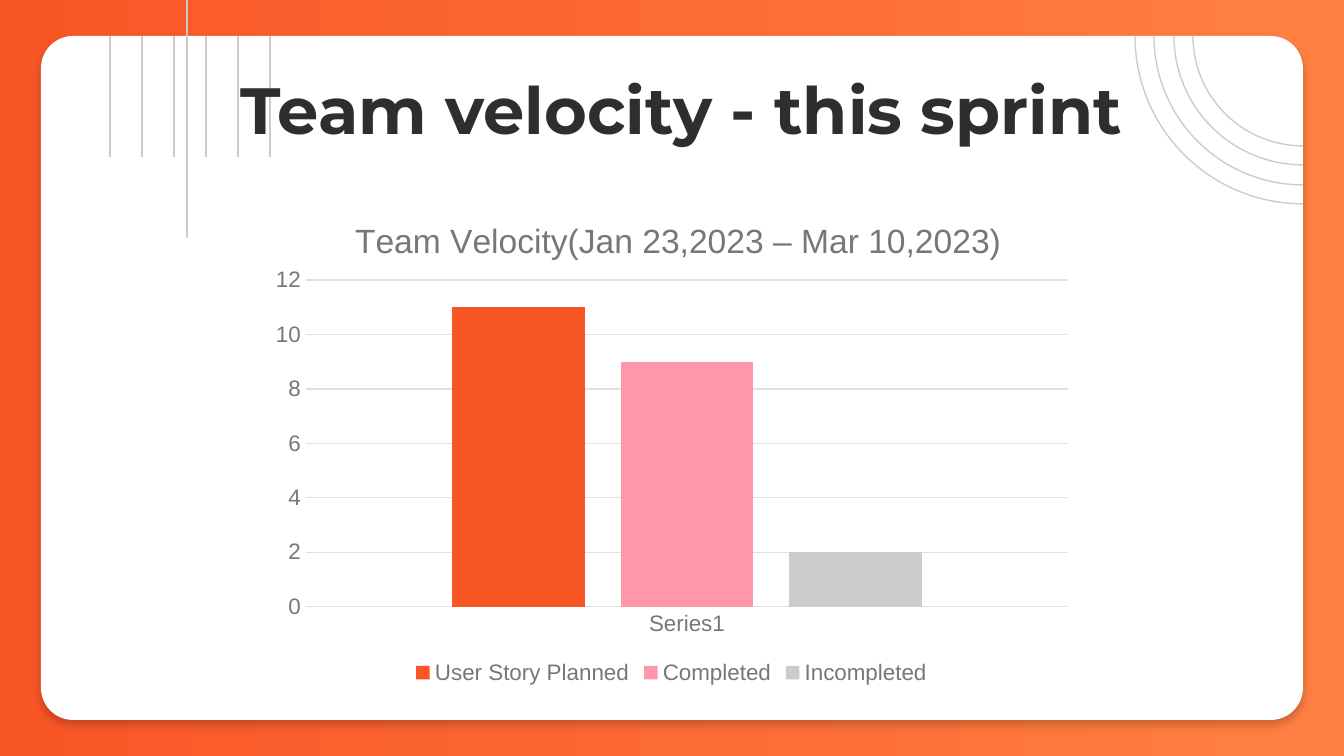
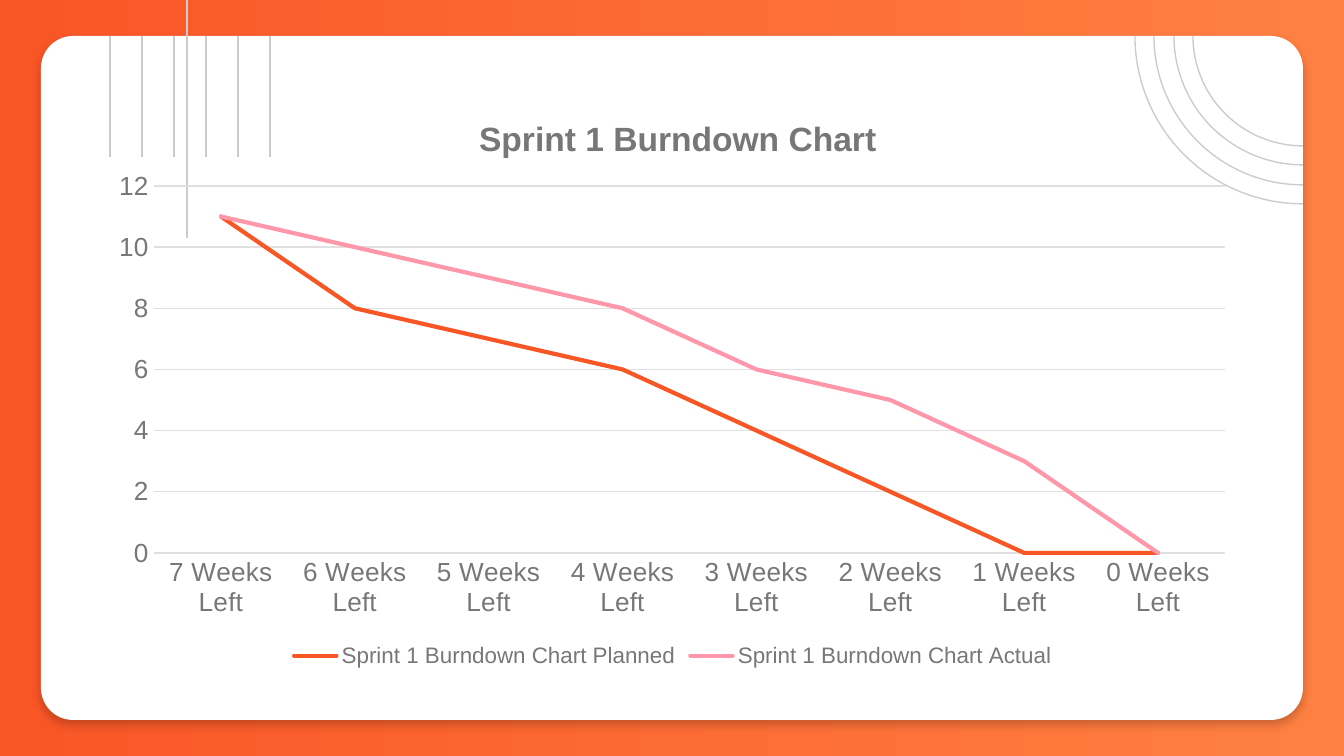
import pptx
import pptx.chart.data
import pptx.dml.color
import pptx.enum.chart
import pptx.enum.shapes
import pptx.enum.text
import pptx.oxml
import pptx.oxml.ns
import pptx.util
from lxml import etree

ORANGE, PEACH, PINK = "F95626", "FF8042", "FF97AB"
WHITE, INK, GREY, RULE, GRID = "FFFFFF", "2E2E2E", "777777", "CCCCCC", "E0E0E0"
HAIRLINE = pptx.util.Pt(0.75)
NAMESPACES = pptx.oxml.ns.nsdecls("c", "a")
NO_FILL = f"<c:spPr {NAMESPACES}><a:noFill/><a:ln><a:noFill/></a:ln></c:spPr>"
SHADOW = (
    f'<a:outerShdw {NAMESPACES} blurRad="57150" dist="38100" dir="5400000" algn="bl" rotWithShape="0">'
    '<a:srgbClr val="000000"><a:alpha val="20000"/></a:srgbClr></a:outerShdw>'
)
ChartType = pptx.enum.chart.XL_CHART_TYPE
Shape = pptx.enum.shapes.MSO_SHAPE


def px(*lengths):
    return [pptx.util.Emu(round(length * 914400 / 134.4)) for length in lengths]


def colour(code):
    return pptx.dml.color.RGBColor.from_string(code)


sprint_slides = [
    {
        "heading": " Team velocity - this sprint",
        "kind": ChartType.COLUMN_CLUSTERED,
        "frame": (259, 189, 825, 501),
        "plot": (306, 280, 762, 327),
        "title": "Team Velocity(Jan 23,2023 – Mar 10,2023)",
        "title_at": (349, 213),
        "title_bold": False,
        "label_size": 12,
        "categories": ["Series1"],
        "series": [
            ("User Story Planned", [11], ORANGE),
            ("Completed", [9], PINK),
            ("Incompleted", [2], RULE),
        ],
    },
    {
        "heading": None,
        "kind": ChartType.LINE,
        "frame": (97, 83, 1152, 590),
        "plot": (154, 186, 1071, 367),
        "title": "Sprint 1 Burndown Chart",
        "title_at": (473, 111),
        "title_bold": True,
        "label_size": 14,
        "categories": [f"{week} Weeks Left" for week in range(7, -1, -1)],
        "series": [
            ("Sprint 1 Burndown Chart Planned", [11, 8, 7, 6, 4, 2, 0, 0], ORANGE),
            ("Sprint 1 Burndown Chart Actual", [11, 10, 9, 8, 6, 5, 3, 0], PINK),
        ],
    },
]
stripes = [(110 + 32 * i, 36, 157) for i in range(6)] + [(187, 0, 238)]

deck = pptx.Presentation()
deck.slide_width, deck.slide_height = px(1344, 756)

for sprint in sprint_slides:
    slide = deck.slides.add_slide(deck.slide_layouts[6])
    backdrop = slide.background.fill
    backdrop.gradient()
    backdrop.gradient_angle = 0
    for stop, code in zip(backdrop.gradient_stops, (ORANGE, PEACH)):
        stop.color.rgb = colour(code)

    card = slide.shapes.add_shape(Shape.ROUNDED_RECTANGLE, *px(41, 36, 1262, 684))
    card.adjustments[0] = 0.047
    card.fill.solid()
    card.fill.fore_color.rgb = colour(WHITE)
    card.line.fill.background()
    card.shadow.inherit = False
    effects = card._element.spPr.find(pptx.oxml.ns.qn("a:effectLst"))
    effects.append(pptx.oxml.parse_xml(SHADOW))

    for radius in (110, 129, 149, 168):
        ring = slide.shapes.add_shape(
            Shape.ARC, *px(1303 - radius, 36 - radius, 2 * radius, 2 * radius)
        )
        ring.rotation = 270
        ring._element.spPr.xfrm.set("flipH", "1")
        ring.shadow.inherit = False
        ring.fill.background()
        ring.line.color.rgb = colour(RULE)
        ring.line.width = HAIRLINE

    for x, top, bottom in stripes:
        stripe = slide.shapes.add_connector(
            pptx.enum.shapes.MSO_CONNECTOR.STRAIGHT, *px(x, top, x, bottom)
        )
        stripe.line.color.rgb = colour(RULE)
        stripe.line.width = HAIRLINE
        etree.SubElement(stripe._element.spPr, pptx.oxml.ns.qn("a:effectLst"))

    fonts = []
    if sprint["heading"]:
        heading = slide.shapes.add_textbox(*px(106, 66, 1133, 85)).text_frame
        frame_format = {
            "word_wrap": True,
            "vertical_anchor": pptx.enum.text.MSO_ANCHOR.MIDDLE,
            **dict.fromkeys(
                ("margin_left", "margin_top", "margin_right", "margin_bottom"),
                pptx.util.Inches(0.1),
            ),
        }
        for attribute, value in frame_format.items():
            setattr(heading, attribute, value)
        heading.text = sprint["heading"]
        heading.paragraphs[0].alignment = pptx.enum.text.PP_ALIGN.CENTER
        fonts.append((heading.paragraphs[0].runs[0].font, "Montserrat", 35, True, INK))

    figures = pptx.chart.data.CategoryChartData()
    figures.categories = sprint["categories"]
    for name, values, code in sprint["series"]:
        figures.add_series(name, values)
    chart = slide.shapes.add_chart(sprint["kind"], *px(*sprint["frame"]), figures).chart

    plot = chart.plots[0]
    plot.vary_by_categories = False
    if sprint["kind"] == ChartType.COLUMN_CLUSTERED:
        plot.gap_width, plot.overlap = 219, -27
    for series, (name, values, code) in zip(plot.series, sprint["series"]):
        if sprint["kind"] == ChartType.LINE:
            series.smooth = False
            series.marker.style = pptx.enum.chart.XL_MARKER_STYLE.NONE
            series.format.line.color.rgb = colour(code)
            series.format.line.width = pptx.util.Pt(2.25)
            series.format.line._get_or_add_ln().set("cap", "rnd")
        else:
            series.format.fill.solid()
            series.format.fill.fore_color.rgb = colour(code)

    weeks, points = chart.category_axis, chart.value_axis
    for axis in (weeks, points):
        axis.major_tick_mark = axis.minor_tick_mark = pptx.enum.chart.XL_TICK_MARK.NONE
        fonts.append((axis.tick_labels.font, "Arial", sprint["label_size"], False, GREY))
    axis_format = {"minimum_scale": 0, "maximum_scale": 12, "major_unit": 2, "has_major_gridlines": True}
    for attribute, value in axis_format.items():
        setattr(points, attribute, value)
    points.format.line.fill.background()
    for rule in (weeks.format.line, points.major_gridlines.format.line):
        rule.color.rgb = colour(GRID)
        rule.width = HAIRLINE

    chart.has_legend = True
    chart.legend.position = pptx.enum.chart.XL_LEGEND_POSITION.BOTTOM
    chart.legend.include_in_layout = False
    chart.has_title = True
    caption = chart.chart_title.text_frame
    caption.text = sprint["title"]
    fonts += [
        (chart.font, "Arial", 10, False, INK),
        (chart.legend.font, "Arial", 12, False, GREY),
        (caption.paragraphs[0].runs[0].font, "Arial", 18, sprint["title_bold"], GREY),
    ]
    for font, face, size, bold, code in fonts:
        font_format = {"name": face, "size": pptx.util.Pt(size), "bold": bold}
        for attribute, value in font_format.items():
            setattr(font, attribute, value)
        font.color.rgb = colour(code)

    space = chart._chartSpace
    plot_area = space.xpath("c:chart/c:plotArea")[0]
    space.xpath("c:chart")[0].addnext(pptx.oxml.parse_xml(NO_FILL))
    plot_area.append(pptx.oxml.parse_xml(NO_FILL))

    left, top, width, height = sprint["frame"]
    placements = [
        (plot_area, 0, sprint["plot"], '<c:layoutTarget val="inner"/>'),
        (chart.chart_title._element, 1, sprint["title_at"], ""),
    ]
    for part, index, (x, y, *extent), target in placements:
        for unplaced in part.xpath("c:layout"):
            part.remove(unplaced)
        shares = [(x - left) / width, (y - top) / height]
        shares += [length / whole for length, whole in zip(extent, (width, height))]
        modes = '<c:xMode val="edge"/><c:yMode val="edge"/>'
        sizes = "".join(f'<c:{key} val="{share:.4f}"/>' for key, share in zip("xywh", shares))
        part.insert(index, pptx.oxml.parse_xml(
            f"<c:layout {NAMESPACES}><c:manualLayout>{target}{modes}{sizes}</c:manualLayout></c:layout>"
        ))

deck.save("out.pptx")
